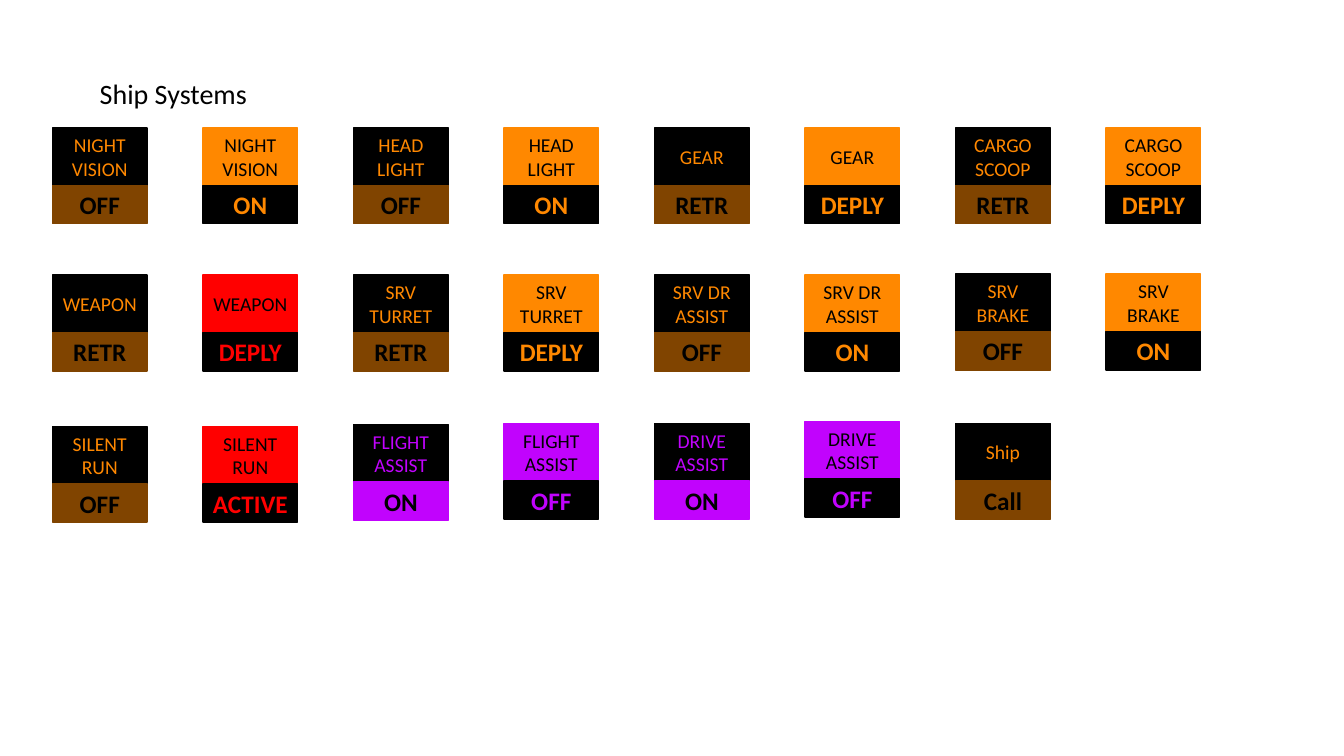
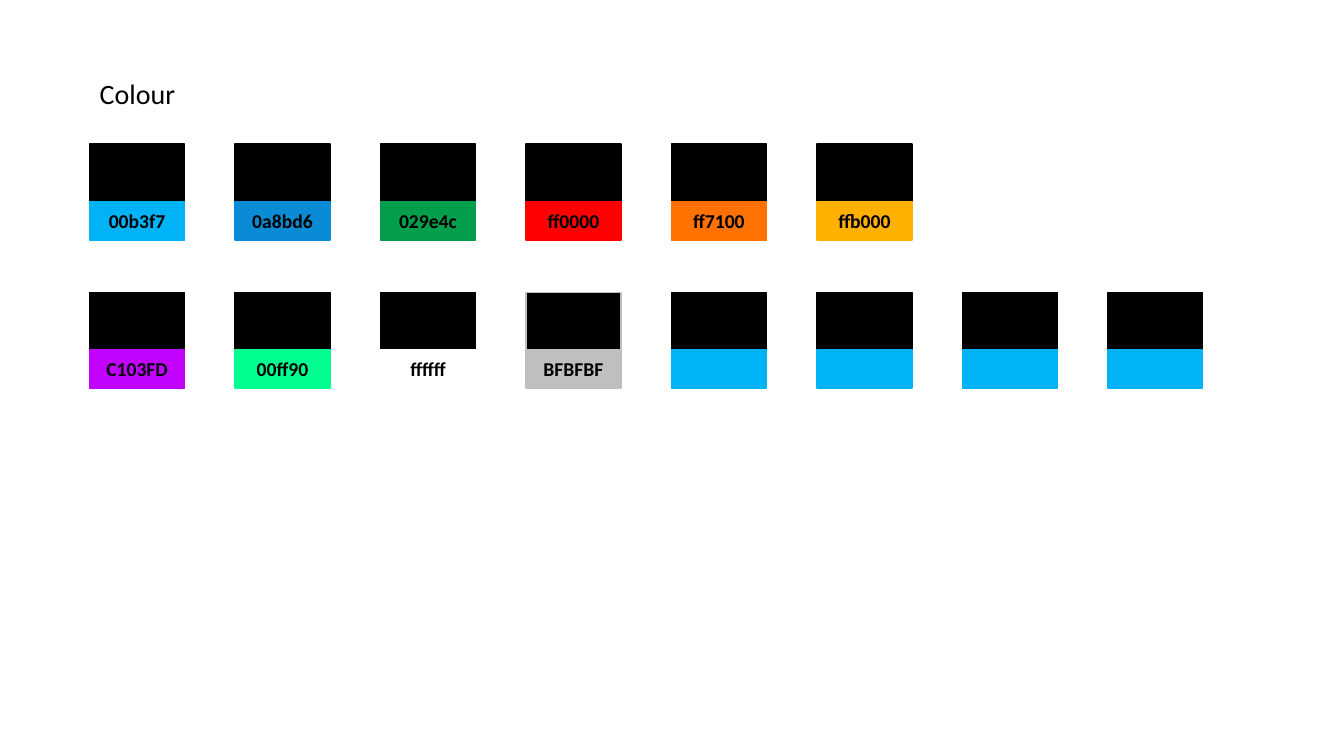
"""Build the ship systems button sheet and its colour swatch sheet."""
from pptx import Presentation
from pptx.dml.color import RGBColor
from pptx.enum.shapes import MSO_SHAPE
from pptx.enum.text import MSO_ANCHOR, MSO_AUTO_SIZE, PP_ALIGN
from pptx.util import Inches, Pt

BLACK, AMBER, BROWN = "000000", "FF8800", "804400"
RED, VIOLET, SKY, SILVER = "FF0000", "C103FD", "00B3F7", "BFBFBF"

BUTTON_WIDTH, CAPTION_HEIGHT, STATUS_HEIGHT = 0.94, 0.57, 0.38
COLUMNS = 8
HEADING_FRAME = {"word_wrap": False, "auto_size": MSO_AUTO_SIZE.SHAPE_TO_FIT_TEXT}
BUTTON_FRAME = {"word_wrap": True, "vertical_anchor": MSO_ANCHOR.MIDDLE,
                "margin_left": 0, "margin_right": 0}
HEADING_FONT = {"size": Pt(20), "bold": False}
CAPTION_FONT = {"size": Pt(14), "bold": False}
STATUS_FONT = {"size": Pt(18), "bold": True}
CODE_FONT = {"size": Pt(14), "bold": True}


def write(frame, words, colour, frame_format, font_format, align):
    """Put words in a text frame with the given formats."""
    frame.text = words
    for attribute, value in frame_format.items():
        setattr(frame, attribute, value)
    for paragraph in frame.paragraphs:
        paragraph.alignment = align
        for run in paragraph.runs:
            run.font.color.rgb = RGBColor.from_string(colour)
            for attribute, value in {"name": "Calibri", **font_format}.items():
                setattr(run.font, attribute, value)


def add_button(slide, left, top, caption, status):
    """Group a caption block above a status block.

    Each block is (words, fill, outline, text colour, font format).
    """
    group = slide.shapes.add_group_shape()
    for block, offset, height in ((caption, 0, CAPTION_HEIGHT),
                                  (status, CAPTION_HEIGHT, STATUS_HEIGHT)):
        words, fill, outline, colour, font_format = block
        box = group.shapes.add_shape(MSO_SHAPE.RECTANGLE, Inches(left), Inches(top + offset),
                                     Inches(BUTTON_WIDTH), Inches(height))
        box.shadow.inherit = False
        box.fill.solid()
        box.fill.fore_color.rgb = RGBColor.from_string(fill)
        box.line.color.rgb = RGBColor.from_string(outline)
        box.line.width = Pt(1)
        write(box.text_frame, words, colour, BUTTON_FRAME, font_format, PP_ALIGN.CENTER)


deck = Presentation()
deck.slide_width, deck.slide_height = Inches(13.33), Inches(7.5)
sheets = []
for heading, heading_width in (("Ship Systems", 1.92), ("Colour", 1.16)):
    sheet = deck.slides.add_slide(deck.slide_layouts[6])
    title = sheet.shapes.add_textbox(Inches(0.89), Inches(0.71),
                                     Inches(heading_width), Inches(0.44))
    write(title.text_frame, heading, BLACK, HEADING_FRAME, HEADING_FONT, PP_ALIGN.LEFT)
    sheets.append(sheet)
systems_sheet, colour_sheet = sheets

# caption fill, caption colour, status fill, status colour
MOODS = {
    "idle": (BLACK, AMBER, BROWN, BLACK),
    "lit": (AMBER, BLACK, BLACK, AMBER),
    "alarm": (RED, BLACK, BLACK, RED),
    "assisting": (BLACK, VIOLET, VIOLET, BLACK),
    "unassisted": (VIOLET, BLACK, BLACK, VIOLET),
}
system_rows = [
    [("NIGHT\nVISION", "OFF", "idle", 1.27), ("NIGHT\nVISION", "ON", "lit", 1.27),
     ("HEAD\nLIGHT", "OFF", "idle", 1.27), ("HEAD\nLIGHT", "ON", "lit", 1.27),
     ("GEAR", "RETR", "idle", 1.27), ("GEAR", "DEPLY", "lit", 1.27),
     ("CARGO\nSCOOP", "RETR", "idle", 1.27), ("CARGO\nSCOOP", "DEPLY", "lit", 1.27)],
    [("WEAPON", "RETR", "idle", 2.73), ("WEAPON", "DEPLY", "alarm", 2.73),
     ("SRV\nTURRET", "RETR", "idle", 2.73), ("SRV\nTURRET", "DEPLY", "lit", 2.73),
     ("SRV DR\nASSIST", "OFF", "idle", 2.73), ("SRV DR\nASSIST", "ON", "lit", 2.73),
     ("SRV\nBRAKE", "OFF", "idle", 2.72), ("SRV\nBRAKE", "ON", "lit", 2.72)],
    [("SILENT\nRUN", "OFF", "idle", 4.23), ("SILENT\nRUN", "ACTIVE", "alarm", 4.23),
     ("FLIGHT\nASSIST", "ON", "assisting", 4.21), ("FLIGHT\nASSIST", "OFF", "unassisted", 4.2),
     ("DRIVE\nASSIST", "ON", "assisting", 4.2), ("DRIVE\nASSIST", "OFF", "unassisted", 4.18),
     ("Ship", "Call", "idle", 4.2)],
]
system_pitch = (10.97 - 0.52) / (COLUMNS - 1)
for system_row in system_rows:
    for column, (system, state, mood, top) in enumerate(system_row):
        caption_fill, caption_colour, status_fill, status_colour = MOODS[mood]
        add_button(systems_sheet, 0.52 + column * system_pitch, top,
                   (system, caption_fill, caption_fill, caption_colour, CAPTION_FONT),
                   (state, status_fill, status_fill, status_colour, STATUS_FONT))

swatch_rows = [
    ["00b3f7", "0a8bd6", "029e4c", "ff0000", "ff7100", "ffb000"],
    ["C103FD", "00ff90", "ffffff", "BFBFBF", "", "", "", ""],
]
swatch_pitch = (10.99 - 0.89) / (COLUMNS - 1)
for row, codes in enumerate(swatch_rows):
    for column, code in enumerate(codes):
        swatch = code.upper() or SKY
        rim = SILVER if swatch == SILVER else BLACK
        add_button(colour_sheet, 0.89 + column * swatch_pitch, 1.43 + row * 1.47,
                   ("", BLACK, rim, BLACK, CAPTION_FONT),
                   (code, swatch, swatch, BLACK, CODE_FONT))

deck.save("out.pptx")
